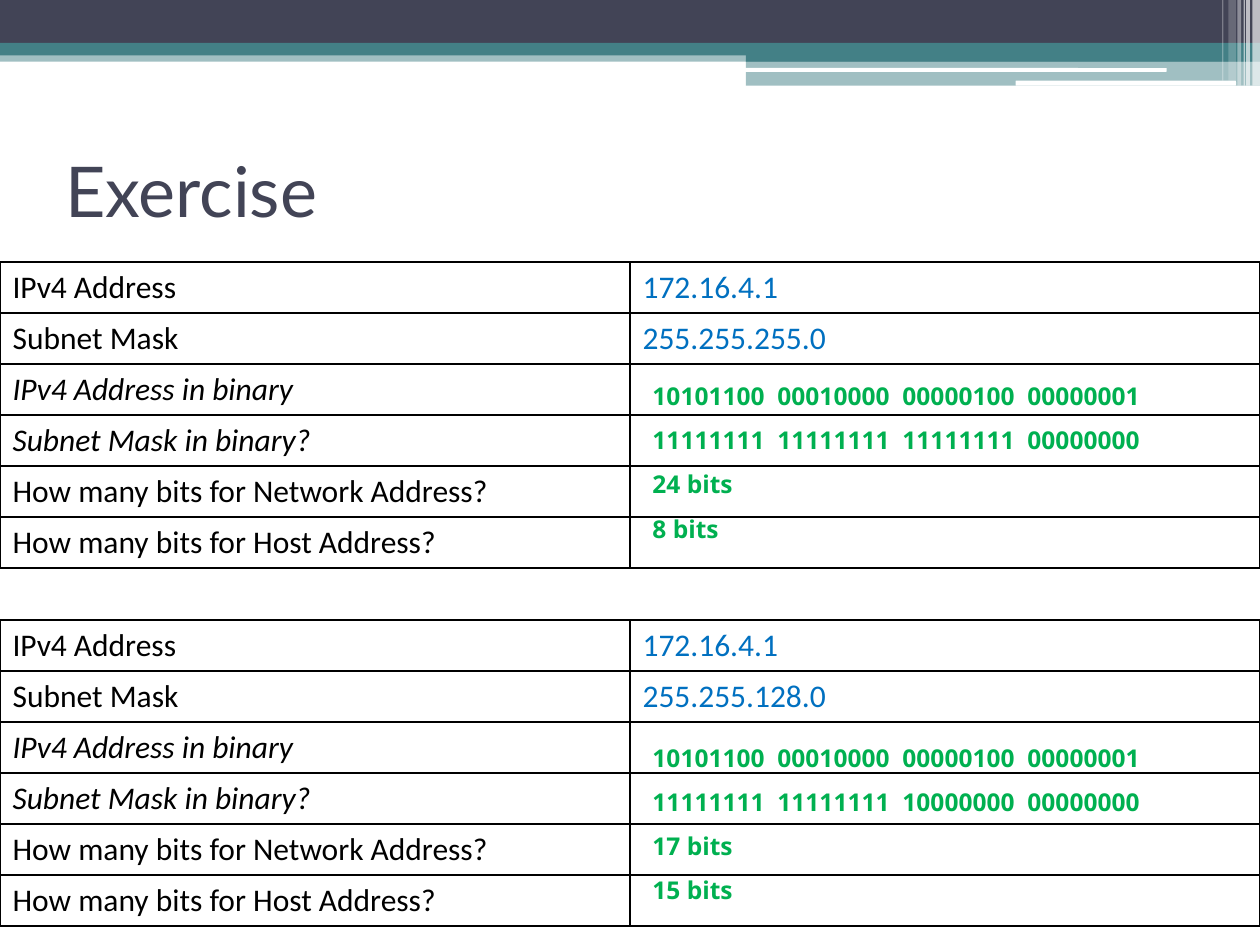
from dataclasses import dataclass

import lxml.etree
import pptx
import pptx.dml.color
import pptx.enum.shapes
import pptx.enum.text
import pptx.oxml.ns
import pptx.util

COLS, ROWS = 100, 75  # slide grid, one unit is a tenth of an inch
COLORS = {"navy": "424456", "teal": "438086", "white": "FFFFFF",
          "black": "000000", "blue": "0070C0", "green": "00B050"}
SHAPES = pptx.enum.shapes.MSO_SHAPE
ANCHORS = pptx.enum.text.MSO_ANCHOR
qn = pptx.oxml.ns.qn


@dataclass
class Box:
    col: float
    row: float
    width: float
    height: float


@dataclass
class Bar:
    box: Box
    color: str
    opacity: int = 100
    rounded: bool = False


@dataclass
class Exercise:
    table: Box
    answer_box: Box
    address: str
    mask: str
    answers: list[str]


def stripe(col: float, width: float, height: float, opacity: int) -> Bar:
    """White vertical stripe hanging from the top edge."""
    return Bar(Box(col, 0, width, height), "white", opacity)


BARS = [
    Bar(Box(0, 4, 100, 0.9), "teal", 50),
    Bar(Box(0, 0, 100, 3.4), "navy"),
    Bar(Box(0, 3.4, 100, 1), "teal"),
    Bar(Box(59.2, 3.9, 40.8, 1), "teal"),
    Bar(Box(59.2, 4.8, 40.8, 2), "teal", 50),
    Bar(Box(59.1, 5.4, 33.5, 0.3), "white", rounded=True),
    Bar(Box(80.6, 6.4, 17.5, 0.4), "white", rounded=True),
    stripe(99.4, 0.6, 6.8, 65),
    stripe(98.9, 0.3, 6.8, 65),
    stripe(98.7, 0.1, 6.8, 60),
    stripe(98.2, 0.3, 6.8, 40),
    stripe(97.5, 0.6, 6.4, 20),
    stripe(97, 0.1, 6.4, 30),
]

# Question and whether it is set in italics
QUESTIONS = [
    ("IPv4 Address", False),
    ("Subnet Mask", False),
    ("IPv4 Address in binary", True),
    ("Subnet Mask in binary?", True),
    ("How many bits for Network Address?", False),
    ("How many bits for Host Address?", False),
]

ADDRESS = "172.16.4.1"
ADDRESS_BITS = "10101100  00010000  00000100  00000001"
EXERCISES = [
    Exercise(Box(0, 20.8, 100, 24.3), Box(50.8, 28.6, 49.2, 17.8), ADDRESS, "255.255.255.0",
             [ADDRESS_BITS, "11111111  11111111  11111111  00000000", "24 bits", "8 bits"]),
    Exercise(Box(0, 49.2, 100, 24.3), Box(50.8, 57.3, 52.5, 18.7), ADDRESS, "255.255.128.0",
             [ADDRESS_BITS, "11111111  11111111  10000000  00000000", "17 bits", "15 bits"]),
]

prs = pptx.Presentation()
prs.slide_width = pptx.util.Inches(10)
prs.slide_height = pptx.util.Inches(7.5)


def place(box: Box) -> tuple[int, int, int, int]:
    """Left, top, width and height in EMU."""
    x, y = prs.slide_width / COLS, prs.slide_height / ROWS
    return round(box.col * x), round(box.row * y), round(box.width * x), round(box.height * y)


def rgb(color: str) -> pptx.dml.color.RGBColor:
    return pptx.dml.color.RGBColor.from_string(COLORS[color])


def write(tf, lines: list[str], *, size: float, font: str, color: str,
          bold: bool = False, italic: bool = False, spacing: float | None = None) -> None:
    for i, line in enumerate(lines):
        p = tf.add_paragraph() if i else tf.paragraphs[0]
        p.line_spacing = spacing
        r = p.add_run()
        r.text = line
        r.font.size = pptx.util.Pt(size)
        r.font.name = font
        r.font.bold = bold
        r.font.italic = italic
        r.font.color.rgb = rgb(color)


def add_text(s, box: Box, lines: list[str], *, anchor=ANCHORS.TOP, **style) -> None:
    tf = s.shapes.add_textbox(*place(box)).text_frame
    tf.word_wrap = True
    tf.vertical_anchor = anchor
    write(tf, lines, **style)


def add_bar(s, bar: Bar) -> None:
    kind = SHAPES.ROUNDED_RECTANGLE if bar.rounded else SHAPES.RECTANGLE
    sp = s.shapes.add_shape(kind, *place(bar.box))
    sp.shadow.inherit = False
    sp.line.fill.background()
    sp.fill.solid()
    sp.fill.fore_color.rgb = rgb(bar.color)
    if bar.opacity < 100:
        clr = sp.fill._xPr.find(".//" + qn("a:srgbClr"))
        lxml.etree.SubElement(clr, qn("a:alpha"), val=str(bar.opacity * 1000))


def set_borders(cell) -> None:
    tcPr = cell._tc.get_or_add_tcPr()
    for i, side in enumerate(("lnL", "lnR", "lnT", "lnB")):
        ln = lxml.etree.Element(qn(f"a:{side}"), w=str(pptx.util.Pt(1)))
        fill = lxml.etree.SubElement(ln, qn("a:solidFill"))
        lxml.etree.SubElement(fill, qn("a:srgbClr"), val=COLORS["black"])
        tcPr.insert(i, ln)


def add_exercise(s, ex: Exercise) -> None:
    table = s.shapes.add_table(len(QUESTIONS), 2, *place(ex.table)).table
    table.first_row = table.horz_banding = False
    for cell in table.iter_cells():
        cell.fill.background()
        set_borders(cell)
    style = {"size": 18, "font": "Calibri"}
    for i, (question, italic) in enumerate(QUESTIONS):
        write(table.cell(i, 0).text_frame, [question], color="black", italic=italic, **style)
    for i, value in enumerate((ex.address, ex.mask)):
        write(table.cell(i, 1).text_frame, [value], color="blue", **style)


def main() -> None:
    s = prs.slides.add_slide(prs.slide_layouts[6])
    for bar in BARS:
        add_bar(s, bar)
    add_text(s, Box(4.2, 9.2, 90, 11.7), ["Exercise"], anchor=ANCHORS.MIDDLE,
             size=40, font="Lato", color="navy")
    for ex in EXERCISES:
        add_exercise(s, ex)
    for ex in EXERCISES:
        add_text(s, ex.answer_box, ex.answers, size=14, font="Noto Sans",
                 color="green", bold=True, spacing=1.5)
    prs.save("out.pptx")


if __name__ == "__main__":
    main()
